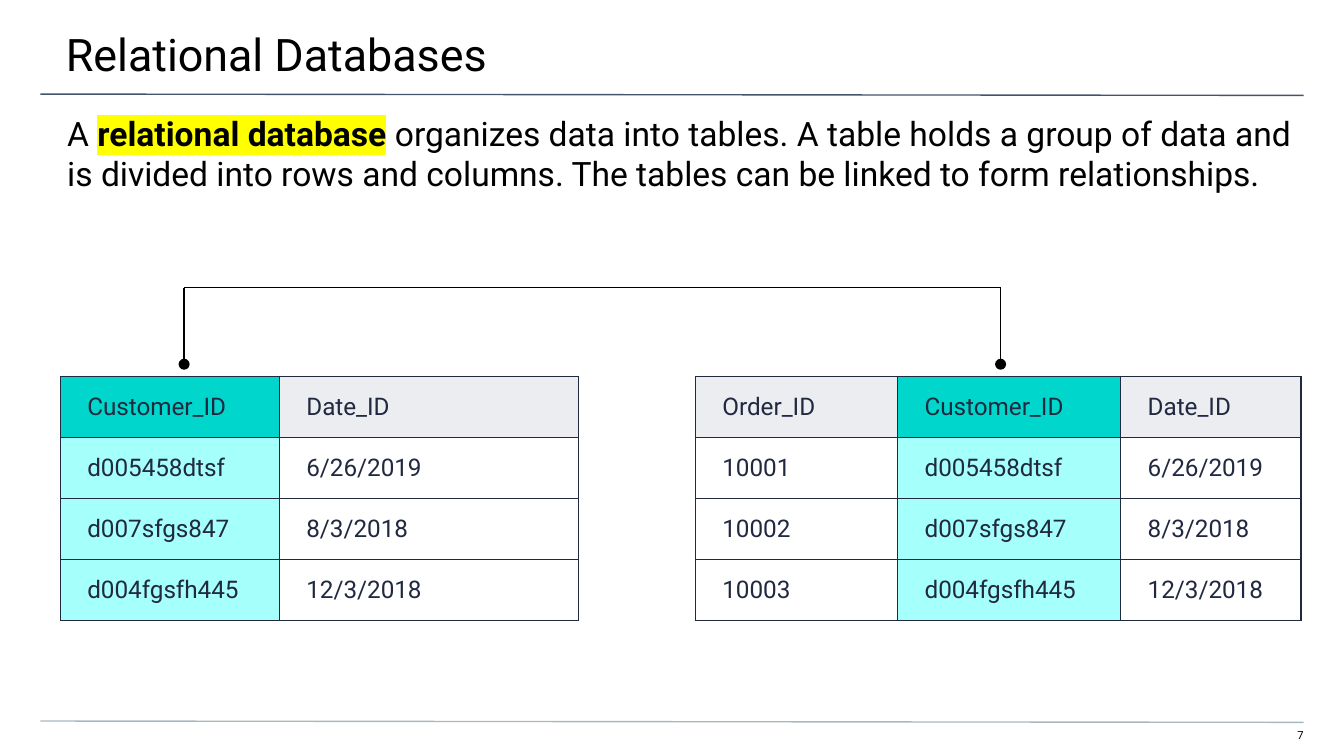
from dataclasses import dataclass

from lxml import etree
from pptx import Presentation
from pptx import util as u
from pptx.dml.color import RGBColor
from pptx.enum import shapes, text
from pptx.oxml import ns

PX = 4572  # EMU in one px, 200 px to the inch


@dataclass(frozen=True)
class Theme:
    face: str = "Roboto"
    black: str = "000000"
    white: str = "FFFFFF"
    ink: str = "212940"
    rule: str = "44546A"
    foot: str = "A9B7C0"
    mark: str = "FFFF00"
    head: str = "EBEDF0"
    key_head: str = "00D6CB"
    key: str = "A5FFFA"
    title: int = 24
    body: int = 18
    cell: int = 13
    page: int = 6
    line: float = 0.75


def px(n):
    return u.Emu(n * PX)


def rgb(color):
    return RGBColor.from_string(color)


def sub(node, tag, **attrs):
    return etree.SubElement(node, ns.qn(tag), attrs)


class Deck:
    def __init__(self, theme, wide, high):
        self.theme = theme
        self.file = Presentation()
        self.file.slide_width, self.file.slide_height = px(wide), px(high)
        self.slide = self.file.slides.add_slide(self.file.slide_layouts[6])

    def style(self, para, size, color):
        font = para.font
        font.name, font.size = self.theme.face, u.Pt(size)
        font.color.rgb = rgb(color)

    def inset(self, box, pads):
        """Set the left, top, right and bottom margins of a frame or cell."""
        (box.margin_left, box.margin_top,
         box.margin_right, box.margin_bottom) = map(px, pads)

    def text(self, at, pads, runs, size, align=text.PP_ALIGN.LEFT):
        """Add a text box; each run is a pair of words and a marked flag."""
        frame = self.slide.shapes.add_textbox(*map(px, at)).text_frame
        frame.word_wrap = True
        self.inset(frame, pads)
        para = frame.paragraphs[0]
        para.alignment = align
        self.style(para, size, self.theme.black)
        for words, marked in runs:
            run = para.add_run()
            run.text = words
            if marked:
                run.font.bold = True
                light = sub(run.font._element, "a:highlight")
                sub(light, "a:srgbClr", val=self.theme.mark)

    def line(self, start, end, color, dot=False):
        """Add a straight line, with a round dot at its start if asked."""
        link = self.slide.shapes.add_connector(
            shapes.MSO_CONNECTOR.STRAIGHT, *map(px, start + end))
        link.line.color.rgb = rgb(color)
        link.line.width = u.Pt(self.theme.line)
        if dot:
            sub(link.line._get_or_add_ln(), "a:headEnd", type="oval")
        sub(link._element.spPr, "a:effectLst")

    def border(self, cell):
        props = cell._tc.get_or_add_tcPr()
        for side in "LRTB":
            edge = sub(props, f"a:ln{side}", w=str(u.Pt(self.theme.line)))
            fill = sub(edge, "a:solidFill")
            sub(fill, "a:srgbClr", val=self.theme.ink)

    def table(self, left, top, cols, high, rows, key):
        """Add a table whose key column is tinted."""
        look = self.theme
        grid = self.slide.shapes.add_table(
            len(rows), len(cols), px(left), px(top),
            px(sum(cols)), px(high * len(rows))).table
        grid.first_row = grid.horz_banding = False
        for col, wide in zip(grid.columns, cols):
            col.width = px(wide)
        for r, row in enumerate(rows):
            for c, words in enumerate(row):
                cell = grid.cell(r, c)
                cell.text = words
                cell.vertical_anchor = text.MSO_ANCHOR.MIDDLE
                self.inset(cell, (40, 20, 20, 20))
                self.style(cell.text_frame.paragraphs[0], look.cell, look.ink)
                self.border(cell)
                plain, tint = ((look.white, look.key) if r
                               else (look.head, look.key_head))
                cell.fill.solid()
                cell.fill.fore_color.rgb = rgb(tint if c == key else plain)


def main():
    look = Theme()
    deck = Deck(look, 2000, 1125)

    deck.text((1882, 1084, 58, 24), (0, 0, 0, 20), [("7", False)],
              look.page, text.PP_ALIGN.RIGHT)
    for y, color in ((140, look.rule), (1073, look.foot)):
        deck.line((60, y), (1940, y + 2), color)

    deck.text((-2, 0, 2006, 116), (100, 40, 60, 20),
              [("Relational Databases", False)], look.title)
    deck.text((0, 148, 2044, 80), (100, 20, 100, 0), [
        ("A ", False),
        ("relational database", True),
        (" organizes data into tables. A table holds a group of data and is "
         "divided into rows and columns. The tables can be linked to form "
         "relationships.", False),
    ], look.body)

    buyers = [
        ("Customer_ID", "Date_ID"),
        ("d005458dtsf", "6/26/2019"),
        ("d007sfgs847", "8/3/2018"),
        ("d004fgsfh445", "12/3/2018"),
    ]
    orders = ["Order_ID", "10001", "10002", "10003"]
    joined = [(order, *buyer) for order, buyer in zip(orders, buyers)]
    deck.table(90, 560, (326, 445), 91, buyers, key=0)
    deck.table(1035, 560, (301, 332, 268), 91, joined, key=1)

    ends, bar, foot = (274, 1489), 428, 542
    deck.line((ends[0], bar), (ends[1], bar), look.black)
    for x in ends:
        deck.line((x, foot), (x, bar), look.black, dot=True)

    deck.file.save("out.pptx")


if __name__ == "__main__":
    main()
